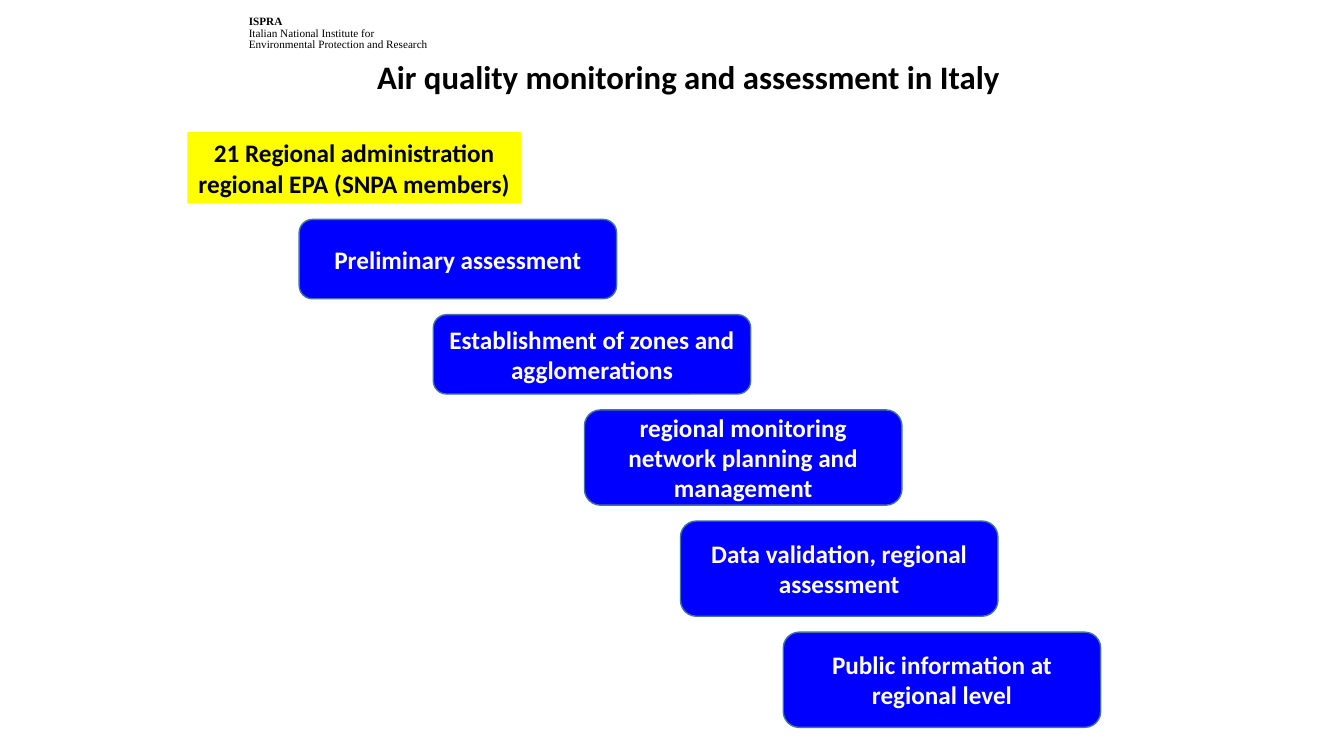
from dataclasses import dataclass

from pptx import Presentation
from pptx.dml.color import RGBColor
from pptx.enum import shapes, text
from pptx.util import Cm, Pt

BLACK, WHITE = "000000", "FFFFFF"
BLUE, OUTLINE, YELLOW = "0000FF", "43739E", "FFFF00"
STEP_WIDTH, STEP_GAP, FIRST_STEP_TOP = 8.0, 0.4, 5.53


@dataclass
class Frame:
    """Position and size in centimetres."""
    left: float
    top: float
    width: float
    height: float

    def lengths(self) -> tuple:
        return Cm(self.left), Cm(self.top), Cm(self.width), Cm(self.height)


@dataclass
class Step:
    label: str
    left: float
    height: float


STEPS = [
    Step("Preliminary assessment", 7.54, 2.0),
    Step("Establishment of zones and agglomerations", 10.92, 2.0),
    Step("regional monitoring network planning and management", 14.73, 2.4),
    Step("Data validation, regional assessment", 17.15, 2.4),
    Step("Public information at regional level", 19.74, 2.4),
]


def color(value: str) -> RGBColor:
    return RGBColor.from_string(value)


def write(box, lines: list[str], size: float, ink: str = BLACK,
          font: str = "Calibri", align=text.PP_ALIGN.CENTER) -> None:
    """Put one bold paragraph per line into the box."""
    frame = box.text_frame
    frame.word_wrap = True
    frame.vertical_anchor = text.MSO_ANCHOR.MIDDLE
    frame.text = "\n".join(lines)
    for para in frame.paragraphs:
        para.alignment = align
        para.font.name = font
        para.font.size = Pt(size)
        para.font.bold = True
        para.font.color.rgb = color(ink)


def add_panel(page, kind, frame: Frame, fill: str):
    panel = page.shapes.add_shape(kind, *frame.lengths())
    panel.shadow.inherit = False
    panel.fill.solid()
    panel.fill.fore_color.rgb = color(fill)
    panel.line.fill.background()
    return panel


def add_step(page, step: Step, top: float) -> None:
    frame = Frame(step.left, top, STEP_WIDTH, step.height)
    panel = add_panel(page, shapes.MSO_SHAPE.ROUNDED_RECTANGLE, frame, BLUE)
    panel.line.color.rgb = color(OUTLINE)
    panel.line.width = Pt(1)
    write(panel, [step.label], 18, WHITE)


def add_institute(page) -> None:
    box = page.shapes.add_textbox(*Frame(6.02, 0.3, 5.03, 1.12).lengths())
    write(box, ["ISPRA", "Italian National Institute for",
                "Environmental Protection and Research"],
          8, font="Times New Roman", align=text.PP_ALIGN.LEFT)
    box.text_frame.word_wrap = False
    box.text_frame.vertical_anchor = text.MSO_ANCHOR.TOP
    for index, para in enumerate(box.text_frame.paragraphs):
        para.line_spacing = 0.85
        para.font.bold = index == 0


def main() -> None:
    deck = Presentation()
    deck.slide_width, deck.slide_height = Cm(33.87), Cm(19.05)
    page = deck.slides.add_slide(deck.slide_layouts[6])

    title = page.shapes.add_textbox(*Frame(5.92, 0.33, 22.86, 3.18).lengths())
    write(title, ["Air quality monitoring and assessment in Italy"], 23.4)
    add_institute(page)

    regions = add_panel(page, shapes.MSO_SHAPE.RECTANGLE,
                        Frame(4.72, 3.33, 8.41, 1.8), YELLOW)
    write(regions, ["21 Regional administration",
                    "regional EPA (SNPA members)"], 18)

    top = FIRST_STEP_TOP
    for step in STEPS:
        add_step(page, step, top)
        top += step.height + STEP_GAP

    deck.save("out.pptx")


if __name__ == "__main__":
    main()
